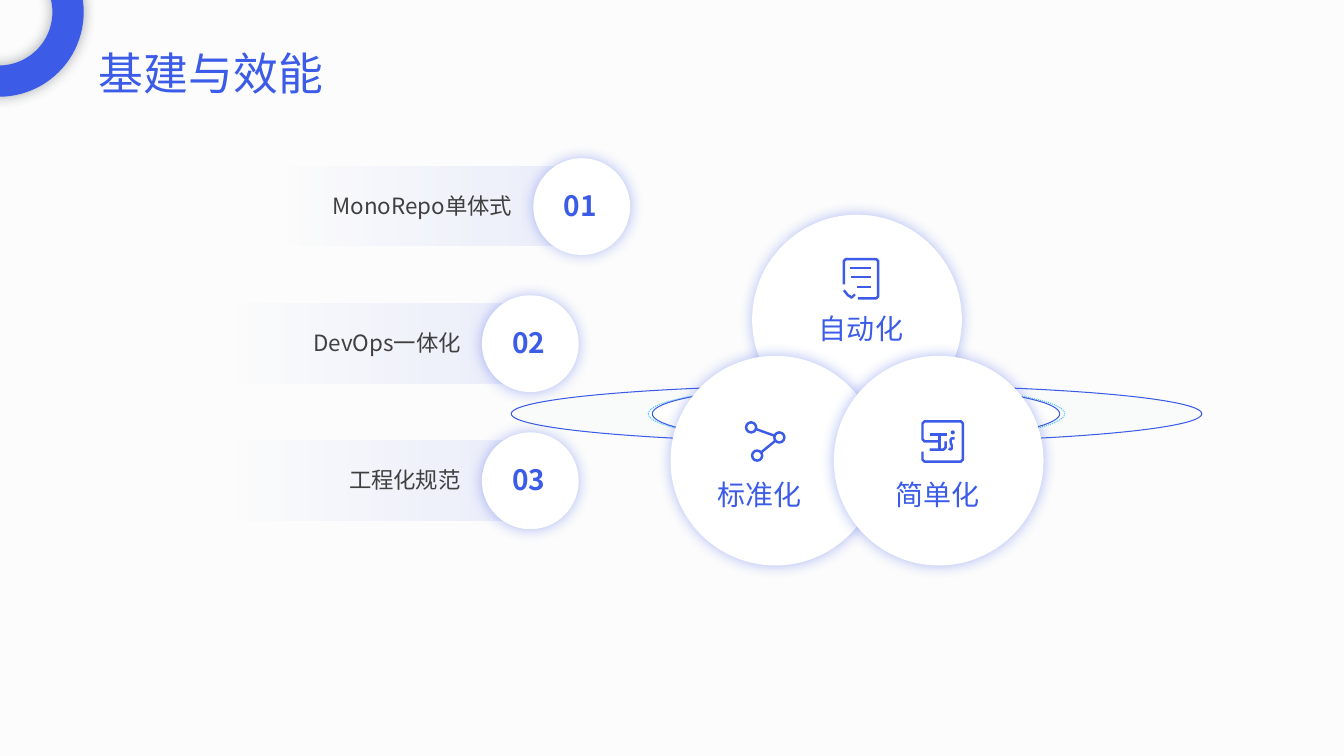
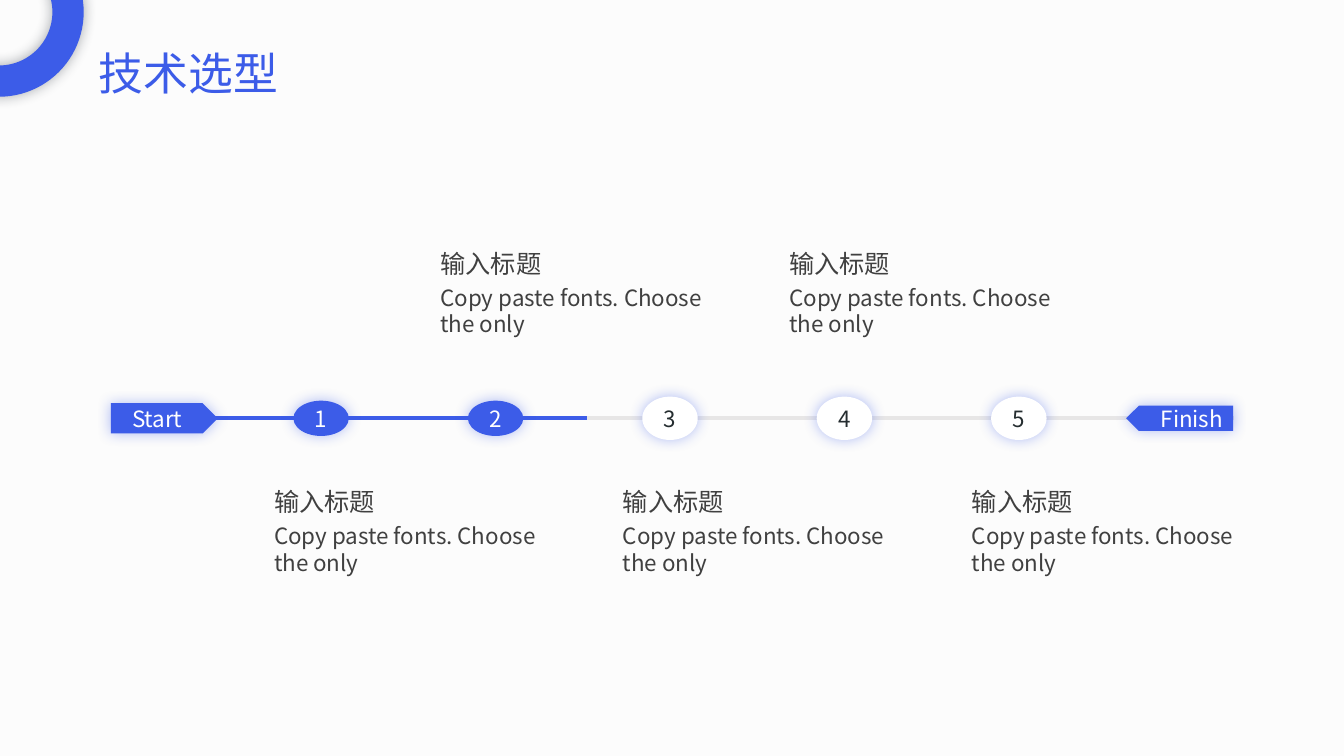
from lxml.etree import SubElement
from pptx import Presentation
from pptx.dml.color import RGBColor
from pptx.enum.dml import MSO_LINE
from pptx.enum.shapes import MSO_CONNECTOR, MSO_SHAPE
from pptx.enum.text import MSO_ANCHOR, PP_ALIGN
from pptx.oxml.ns import qn
from pptx.util import Inches, Pt

FONT = "Noto Sans CJK SC"
C = {
    "blue": "3C5CE8", "sky": "52C3F1", "ice": "D3EDFB", "white": "FFFFFF",
    "page": "FCFCFC", "text": "404040", "dark": "252D30", "grey": "E7E6E6",
    "navy": "222A35",
}

# Slide 1: circle left edge, number, label
ROWS = [(5.29, "01", "MonoRepo单体式"), (4.78, "02", "DevOps一体化"), (4.78, "03", "工程化规范")]
ROW_TOP, ROW_PITCH = 1.57, 1.36
# left, width, fill, opacity, line, dash
ORBITS = [
    (5.07, 6.85, "ice", 5, "blue", None),
    (6.43, 4.13, "ice", 7, "sky", MSO_LINE.ROUND_DOT),
    (6.47, 4.04, "white", 100, "blue", None),
]
# Icon geometry is in hundredths of an inch from the icon's corner
CHECKLIST = {
    "strokes": [
        [(1, 26), (1, 1), (35, 1), (35, 40), (15, 40)],
        [(7, 10), (28, 10)], [(8, 19), (28, 19)], [(14, 29), (28, 29)],
        [(1, 32), (8, 40), (12, 36)],
    ],
}
NODES = {
    "strokes": [[(6, 7), (34, 17)], [(34, 17), (12, 35)]],
    "rings": [(6, 7), (34, 17), (12, 35)],
}
CIRCUIT = {
    "strokes": [
        [(1, 31), (1, 41), (41, 41), (41, 1), (1, 1), (1, 21), (17, 21)],
        [(8, 14), (25, 14)], [(18, 14), (18, 29)],
        [(8, 29), (24, 29), (24, 21)], [(33, 18), (29, 18), (30, 29), (27, 28)],
    ],
    "dots": [(31, 12)],
}
# circle left, top; label, its centre and top; icon, its left and top
GOALS = [
    (7.46, 2.13, "自动化", 8.54, 3.04, CHECKLIST, 8.36, 2.56),
    (6.65, 3.53, "标准化", 7.53, 4.69, NODES, 7.39, 4.17),
    (8.27, 3.53, "简单化", 9.30, 4.69, CIRCUIT, 9.14, 4.17),
]

# Slide 2
STEPS = [("输入标题", "Copy paste fonts. Choose the only")] * 5
STEPS_DONE = 2
STEP_LEFT, STEP_PITCH, AXIS = 2.91, 1.73, 4.15
TRACKS = [(5.82, 12.24, "grey"), (1.13, 5.82, "blue")]


def rgb(name):
    return RGBColor.from_string(C[name])


def set_alpha(fill_element, percent):
    color = next(fill_element.iter(qn("a:srgbClr")))
    SubElement(color, qn("a:alpha"), val=str(percent * 1000))


def paint(sp, fill=None, line=None, width=0.75, glow=None):
    sp.shadow.inherit = False
    if fill:
        sp.fill.solid()
        sp.fill.fore_color.rgb = rgb(fill)
    else:
        sp.fill.background()
    if line:
        sp.line.color.rgb = rgb(line)
        sp.line.width = Pt(width)
    else:
        sp.line.fill.background()
    if glow:
        effects = sp._element.spPr.find(qn("a:effectLst"))
        shadow = SubElement(effects, qn("a:outerShdw"), blurRad=str(Pt(10)),
                            dist="0", dir="0", algn="ctr", rotWithShape="0")
        SubElement(shadow, qn("a:srgbClr"), val=C[glow])
        set_alpha(shadow, 40)


def add_shape(slide, kind, x, y, w, h, **style):
    sp = slide.shapes.add_shape(kind, *map(Inches, (x, y, w, h)))
    paint(sp, **style)
    return sp


def add_box(slide, x, y, w, h):
    return slide.shapes.add_textbox(*map(Inches, (x, y, w, h)))


def write(sp, *lines, align=PP_ALIGN.LEFT, anchor=MSO_ANCHOR.TOP, wrap=True,
          margins=(0.1, 0.05, 0.1, 0.05), gap=0):
    """Fill a shape with paragraphs given as (text, size, colour, bold)."""
    tf = sp.text_frame
    frame = {"word_wrap": wrap, "vertical_anchor": anchor}
    for side, value in zip(("left", "top", "right", "bottom"), margins):
        frame["margin_" + side] = Inches(value)
    for key, value in frame.items():
        setattr(tf, key, value)
    for i, (text, size, color, bold) in enumerate(lines):
        p = tf.add_paragraph() if i else tf.paragraphs[0]
        p.alignment = align
        p.space_before = Pt(gap if i else 0)
        r = p.add_run()
        r.text = text
        for key, value in {"size": Pt(size), "bold": bold, "name": FONT}.items():
            setattr(r.font, key, value)
        r.font.color.rgb = rgb(color)
        SubElement(r._r.get_or_add_rPr(), qn("a:ea"), typeface=FONT)


def add_titled_slide(prs, title):
    """Title-only slide with the corner ring."""
    slide = prs.slides.add_slide(prs.slide_layouts[5])
    ring = add_shape(slide, MSO_SHAPE.DONUT, -0.85, -0.72, 1.68, 1.68,
                     fill="blue", glow="navy")
    ring.adjustments[0] = 0.31 / 1.68
    sp = slide.shapes.title
    for key, value in {"left": 0.88, "top": 0.4, "width": 4.62, "height": 0.64}.items():
        setattr(sp, key, Inches(value))
    write(sp, (title, 32, "blue", False))
    return slide


def round_corners(points, radius=4, steps=4):
    """Replace each inner corner of a polyline by a short curve."""
    path = [points[0]]
    for a, b, c in zip(points, points[1:], points[2:]):
        ends = []
        for q in (a, c):
            length = ((q[0] - b[0]) ** 2 + (q[1] - b[1]) ** 2) ** 0.5
            share = min(radius / length, 0.4)
            ends.append([b[k] + (q[k] - b[k]) * share for k in (0, 1)])
        for i in range(steps + 1):
            t = i / steps
            path.append(tuple((1 - t) ** 2 * ends[0][k] + 2 * t * (1 - t) * b[k]
                              + t * t * ends[1][k] for k in (0, 1)))
    return path + [points[-1]]


def add_icon(slide, icon, x, y):
    for stroke in icon["strokes"]:
        path = [(x * 100 + px, y * 100 + py) for px, py in round_corners(stroke)]
        outline = slide.shapes.build_freeform(*path[0], scale=Inches(0.01))
        outline.add_line_segments(path[1:], close=False)
        paint(outline.convert_to_shape(), line="blue", width=1.75)
    for key, radius, fill, line in (("rings", 0.05, "white", "blue"),
                                    ("dots", 0.02, "blue", None)):
        for px, py in icon.get(key, []):
            add_shape(slide, MSO_SHAPE.OVAL, x + px / 100 - radius, y + py / 100 - radius,
                      2 * radius, 2 * radius, fill=fill, line=line, width=1.75)


def add_row(slide, x, y, number, label):
    bar = add_shape(slide, MSO_SHAPE.RECTANGLE, x - 2.61, y + 0.08, 3.03, 0.79)
    bar.fill.gradient()
    bar.fill.gradient_angle = 0
    for stop, percent in zip(bar.fill.gradient_stops, (0, 10)):
        stop.color.rgb = rgb("blue")
        set_alpha(stop._gs, percent)
    write(bar, (label, 16, "text", False), align=PP_ALIGN.RIGHT,
          anchor=MSO_ANCHOR.MIDDLE, margins=(0.1, 0, 0.63, 0.02))
    circle = add_shape(slide, MSO_SHAPE.OVAL, x, y, 0.96, 0.96, fill="white", glow="blue")
    write(circle, (number, 20, "blue", True), align=PP_ALIGN.CENTER,
          anchor=MSO_ANCHOR.MIDDLE, margins=(0, 0, 0.03, 0.03))


def build_infrastructure(prs):
    slide = add_titled_slide(prs, "基建与效能")
    for x, w, fill, opacity, line, dash in ORBITS:
        sp = add_shape(slide, MSO_SHAPE.OVAL, x, 3.82, w, 0.57, fill=fill, line=line)
        set_alpha(sp._element.spPr.find(qn("a:solidFill")), opacity)
        if dash:
            sp.line.dash_style = dash
    for x, y, *_ in GOALS:
        add_shape(slide, MSO_SHAPE.OVAL, x, y, 2.08, 2.08, fill="white", glow="blue")
    for _, _, label, center, top, icon, icon_x, icon_y in GOALS:
        write(add_box(slide, center - 0.52, top, 1.04, 0.44), (label, 20, "blue", False),
              align=PP_ALIGN.CENTER, wrap=False)
        add_icon(slide, icon, icon_x, icon_y)
    for i, (x, number, label) in enumerate(ROWS):
        add_row(slide, x, ROW_TOP + i * ROW_PITCH, number, label)


def add_flag(slide, text, x, h, align, margins, flip=False):
    flag = add_shape(slide, MSO_SHAPE.PENTAGON, x, AXIS - h / 2, 1.06, h,
                     fill="blue", glow="blue")
    if flip:
        flag._element.spPr.find(qn("a:xfrm")).set("flipH", "1")
    write(flag, (text, 16, "white", False), align=align, anchor=MSO_ANCHOR.MIDDLE,
          wrap=False, margins=margins)


def build_timeline(prs):
    slide = add_titled_slide(prs, "技术选型")
    for start, end, color in TRACKS:
        line = slide.shapes.add_connector(
            MSO_CONNECTOR.STRAIGHT, *map(Inches, (start, AXIS, end, AXIS)))
        line.line.color.rgb = rgb(color)
        line.line.width = Pt(3)
        SubElement(line._element.spPr, qn("a:effectLst"))
    add_flag(slide, "Start", 1.1, 0.3, PP_ALIGN.LEFT, (0.21, 0, 0, 0))
    add_flag(slide, "Finish", 11.17, 0.25, PP_ALIGN.RIGHT, (0, 0, 0.1, 0), flip=True)
    for i, (heading, body) in enumerate(STEPS):
        x = STEP_LEFT + i * STEP_PITCH
        fill, color, h = ("blue", "white", 0.35) if i < STEPS_DONE else ("white", "dark", 0.43)
        node = add_shape(slide, MSO_SHAPE.OVAL, x, AXIS - h / 2, 0.55, h, fill=fill, glow="blue")
        write(node, (str(i + 1), 16, color, False), align=PP_ALIGN.CENTER,
              anchor=MSO_ANCHOR.MIDDLE, wrap=False, margins=(0, 0, 0, 0))
        shift, top = (0.37, 2.41) if i % 2 else (0.29, 4.78)
        write(add_box(slide, x - shift, top, 2.99, 0.99),
              (heading, 18, "text", False), (body, 16, "text", False), gap=4)


def main():
    prs = Presentation()
    prs.slide_width, prs.slide_height = Inches(13.33), Inches(7.5)
    background = prs.slide_master.background.fill
    background.solid()
    background.fore_color.rgb = rgb("page")
    build_infrastructure(prs)
    build_timeline(prs)
    prs.save("out.pptx")


if __name__ == "__main__":
    main()
